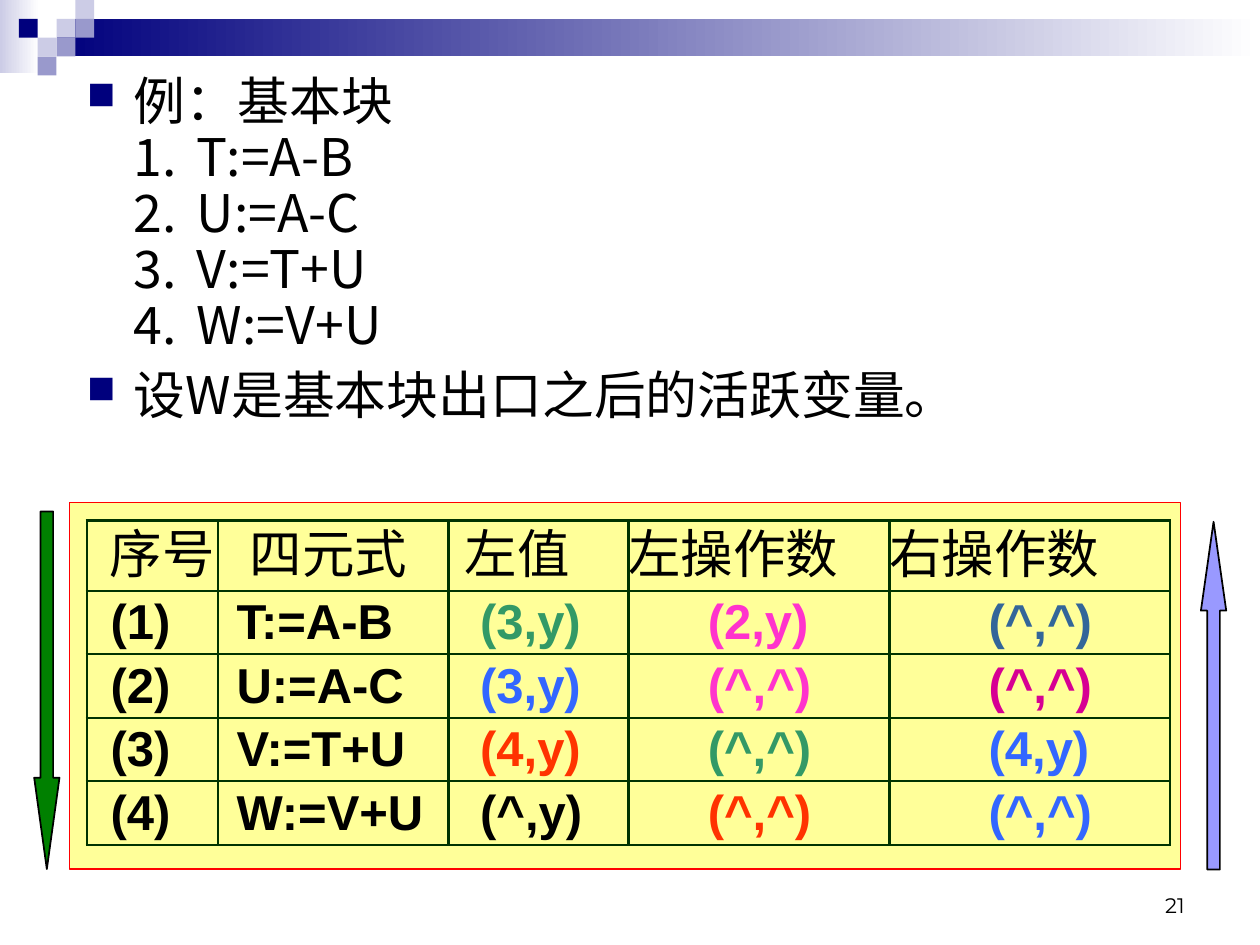
from dataclasses import dataclass
from typing import Optional

from lxml.etree import SubElement
from pptx import Presentation
from pptx.dml.color import RGBColor as Rgb
from pptx.enum.shapes import MSO_SHAPE as Preset
from pptx.enum.text import MSO_ANCHOR as Anchor, PP_ALIGN as Align
from pptx.oxml.ns import qn
from pptx.util import Cm, Pt


@dataclass(frozen=True)
class Theme:
    navy: str = "00007D"
    violet: str = "9999CC"
    lavender: str = "CCCCE6"
    white: str = "FFFFFF"
    black: str = "000000"
    panel: str = "FFFF99"
    panel_edge: str = "FF0000"
    grid: str = "003300"
    down: str = "008000"
    up: str = "9999FF"
    green: str = "339966"
    blue: str = "3366FF"
    steel: str = "336699"
    pink: str = "FF33CC"
    magenta: str = "D60093"
    orange: str = "FF3300"
    latin: str = "Arial"
    cjk: str = "Noto Sans CJK SC"
    number_font: str = "Montserrat"
    body_size: float = 29.6
    header_size: float = 30
    cell_size: float = 28
    number_size: float = 12


THEME = Theme()


@dataclass(frozen=True)
class Block:
    left: float
    top: float
    width: float
    height: float
    fill: str
    fade_to: Optional[str] = None
    edge: Optional[str] = None
    preset: Preset = Preset.RECTANGLE
    head: Optional[float] = None


@dataclass(frozen=True)
class Column:
    width: float
    header: str
    header_indent: float
    indent: float


@dataclass(frozen=True)
class Entry:
    wording: str
    color: str = THEME.black


@dataclass(frozen=True)
class BodyLine:
    wording: str
    bulleted: bool = False
    gap: float = 0


SQUARE = 0.38
MOSAIC = [
    (3, 1, THEME.lavender), (4, 0, THEME.lavender), (4, 1, THEME.violet),
    (2, 2, THEME.lavender), (1, 1, THEME.navy), (3, 2, THEME.violet),
    (2, 3, THEME.violet),
]
BANNER = [
    Block(0, 0, 0.79, 1.47, THEME.lavender, THEME.white),
    Block(1.14, SQUARE, 24.26, 2 * SQUARE, THEME.navy, THEME.white),
] + [Block(col * SQUARE, row * SQUARE, SQUARE, SQUARE, color) for col, row, color in MOSAIC]

PANEL = Block(1.4, 10.13, 22.4, 7.39, THEME.panel, edge=THEME.panel_edge)
ARROWS = [
    Block(0.69, 10.31, 0.51, 7.21, THEME.down, edge=THEME.black,
          preset=Preset.DOWN_ARROW, head=3.61),
    Block(24.21, 10.52, 0.51, 7.01, THEME.up, edge=THEME.black,
          preset=Preset.UP_ARROW, head=3.51),
]

HEADER_HEIGHT, ROW_HEIGHT = 1.42, 1.28
COLUMNS = [
    Column(2.64, "序号", 0.46, 0.48),
    Column(4.65, "四元式", 0.64, 0.38),
    Column(3.63, "左值", 0.33, 0.64),
    Column(5.26, "左操作数", 0, 1.6),
    Column(5.66, "右操作数", 0, 2),
]
QUADRUPLES = ["T:=A-B", "U:=A-C", "V:=T+U", "W:=V+U"]
USES = [
    [Entry("(3,y)", THEME.green), Entry("(2,y)", THEME.pink), Entry("(^,^)", THEME.steel)],
    [Entry("(3,y)", THEME.blue), Entry("(^,^)", THEME.pink), Entry("(^,^)", THEME.magenta)],
    [Entry("(4,y)", THEME.orange), Entry("(^,^)", THEME.green), Entry("(4,y)", THEME.blue)],
    [Entry("(^,y)"), Entry("(^,^)", THEME.orange), Entry("(^,^)", THEME.blue)],
]
BODY = [
    BodyLine("例：基本块", bulleted=True),
    *[BodyLine(f"{n}.\t{step}") for n, step in enumerate(QUADRUPLES, 1)],
    BodyLine("设W是基本块出口之后的活跃变量。", bulleted=True, gap=8),
]


def style(paragraph, size: float, face: str, color: str = THEME.black, bold: bool = False) -> None:
    font = paragraph.font
    font.size, font.name, font.bold = Pt(size), face, bold
    font.color.rgb = Rgb.from_string(color)
    defaults = paragraph._p.pPr.find(qn("a:defRPr"))
    SubElement(defaults, qn("a:ea"), typeface=THEME.cjk)


def draw_block(slide, block: Block) -> None:
    shape = slide.shapes.add_shape(
        block.preset, Cm(block.left), Cm(block.top), Cm(block.width), Cm(block.height))
    shape.shadow.inherit = False
    if block.fade_to:
        shape.fill.gradient()
        shape.fill.gradient_angle = 0
        for stop, position, color in zip(
                shape.fill.gradient_stops, (0, 1), (block.fill, block.fade_to)):
            stop.position = position
            stop.color.rgb = Rgb.from_string(color)
    else:
        shape.fill.solid()
        shape.fill.fore_color.rgb = Rgb.from_string(block.fill)
    if block.edge:
        shape.line.color.rgb = Rgb.from_string(block.edge)
        shape.line.width = Pt(1)
    else:
        shape.line.fill.background()
    if block.head:
        shape.adjustments[0], shape.adjustments[1] = 0.5, block.head


def draw_body(slide) -> None:
    frame = slide.shapes.add_textbox(Cm(1.5), Cm(1.39), Cm(22.43), Cm(8.6)).text_frame
    frame.word_wrap = True
    for index, line in enumerate(BODY):
        paragraph = frame.add_paragraph() if index else frame.paragraphs[0]
        paragraph.text = line.wording
        props = paragraph._p.get_or_add_pPr()
        props.set("marL", str(Cm(0.95)))
        props.set("indent", str(Cm(-0.95) if line.bulleted else 0))
        if line.bulleted:
            tint = SubElement(props, qn("a:buClr"))
            SubElement(tint, qn("a:srgbClr"), val=THEME.navy)
            SubElement(props, qn("a:buSzPct"), val="75000")
            SubElement(props, qn("a:buChar"), char="■")
        else:
            SubElement(props, qn("a:buNone"))
            tabs = SubElement(props, qn("a:tabLst"))
            SubElement(tabs, qn("a:tab"), pos=str(Cm(2.54)), algn="l")
        paragraph.line_spacing = Pt(32)
        if line.gap:
            paragraph.space_before = Pt(line.gap)
        style(paragraph, THEME.body_size, THEME.cjk)


def fill_cell(cell, entry: Entry, indent: float, is_header: bool) -> None:
    cell.margin_left = Cm(indent)
    cell.margin_right = cell.margin_top = cell.margin_bottom = 0
    cell.vertical_anchor = Anchor.MIDDLE
    props = cell._tc.get_or_add_tcPr()
    for side in ("lnL", "lnR", "lnT", "lnB"):
        border = SubElement(props, qn(f"a:{side}"), w=str(Pt(1.5)))
        SubElement(SubElement(border, qn("a:solidFill")), qn("a:srgbClr"), val=THEME.grid)
    cell.fill.background()
    paragraph = cell.text_frame.paragraphs[0]
    paragraph.text = entry.wording
    if is_header:
        paragraph.line_spacing = Pt(38)
    size = THEME.header_size if is_header else THEME.cell_size
    style(paragraph, size, THEME.latin, entry.color, bold=not is_header)


def draw_use_table(slide) -> None:
    rows = [[Entry(column.header) for column in COLUMNS]]
    for n, (step, uses) in enumerate(zip(QUADRUPLES, USES), 1):
        rows.append([Entry(f"({n})"), Entry(step), *uses])
    heights = [HEADER_HEIGHT] + [ROW_HEIGHT] * len(USES)
    table = slide.shapes.add_table(
        len(rows), len(COLUMNS), Cm(1.75), Cm(10.49),
        Cm(sum(column.width for column in COLUMNS)), Cm(sum(heights))).table
    table.first_row = table.horz_banding = False
    for c, column in enumerate(COLUMNS):
        table.columns[c].width = Cm(column.width)
    for r, entries in enumerate(rows):
        table.rows[r].height = Cm(heights[r])
        for c, (column, entry) in enumerate(zip(COLUMNS, entries)):
            indent = column.indent if r else column.header_indent
            fill_cell(table.cell(r, c), entry, indent, is_header=r == 0)


def draw_slide_number(slide) -> None:
    frame = slide.shapes.add_textbox(Cm(18.21), Cm(17.35), Cm(5.92), Cm(1.27)).text_frame
    frame.word_wrap = True
    frame.vertical_anchor = Anchor.BOTTOM
    number = frame.paragraphs[0]
    number.text = "21"
    number.alignment = Align.RIGHT
    style(number, THEME.number_size, THEME.number_font)


def main() -> None:
    deck = Presentation()
    deck.slide_width, deck.slide_height = Cm(25.4), Cm(19.05)
    slide = deck.slides.add_slide(deck.slide_layouts[6])
    for block in [*BANNER, PANEL]:
        draw_block(slide, block)
    draw_slide_number(slide)
    draw_use_table(slide)
    draw_body(slide)
    for arrow in ARROWS:
        draw_block(slide, arrow)
    deck.save("out.pptx")


if __name__ == "__main__":
    main()
